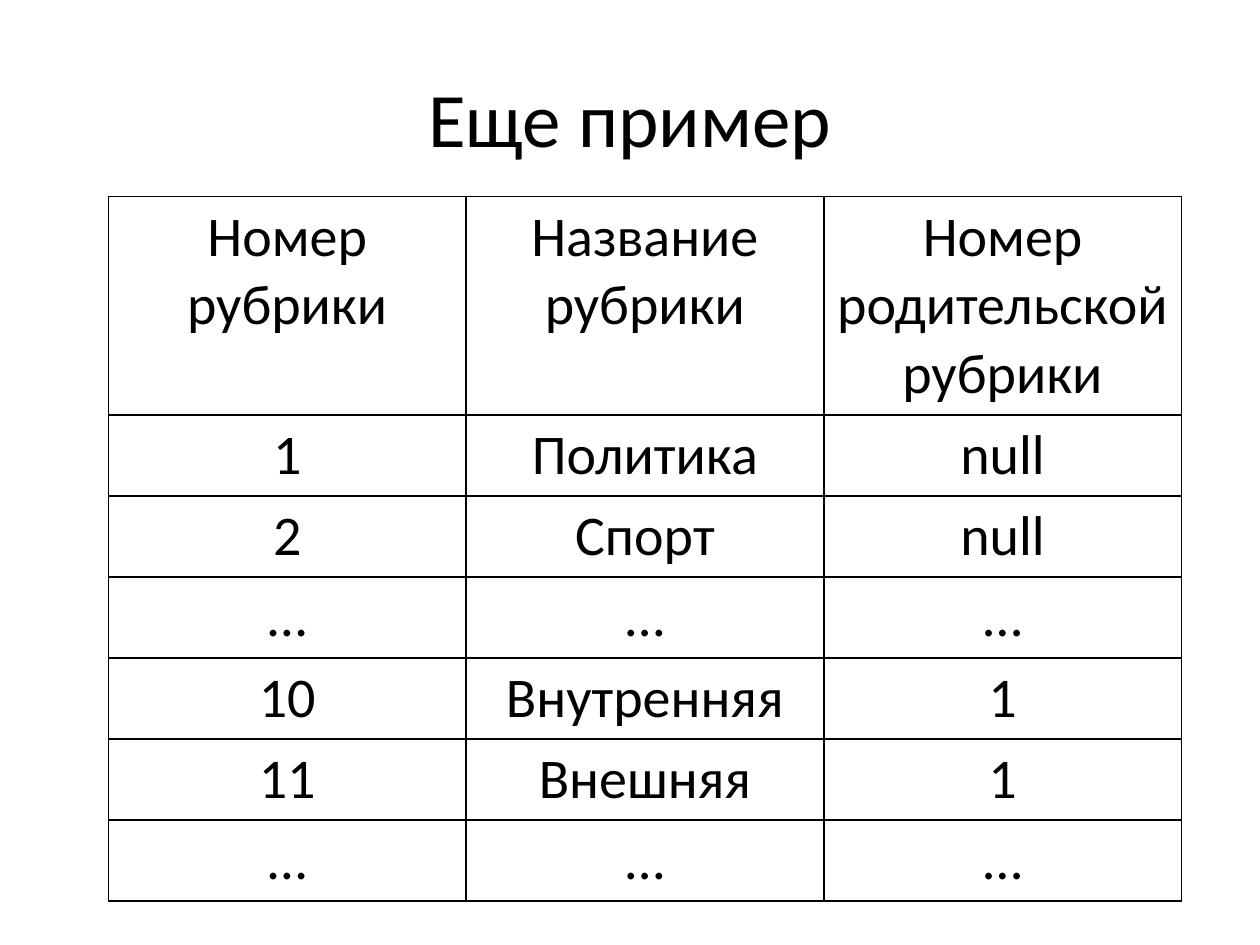
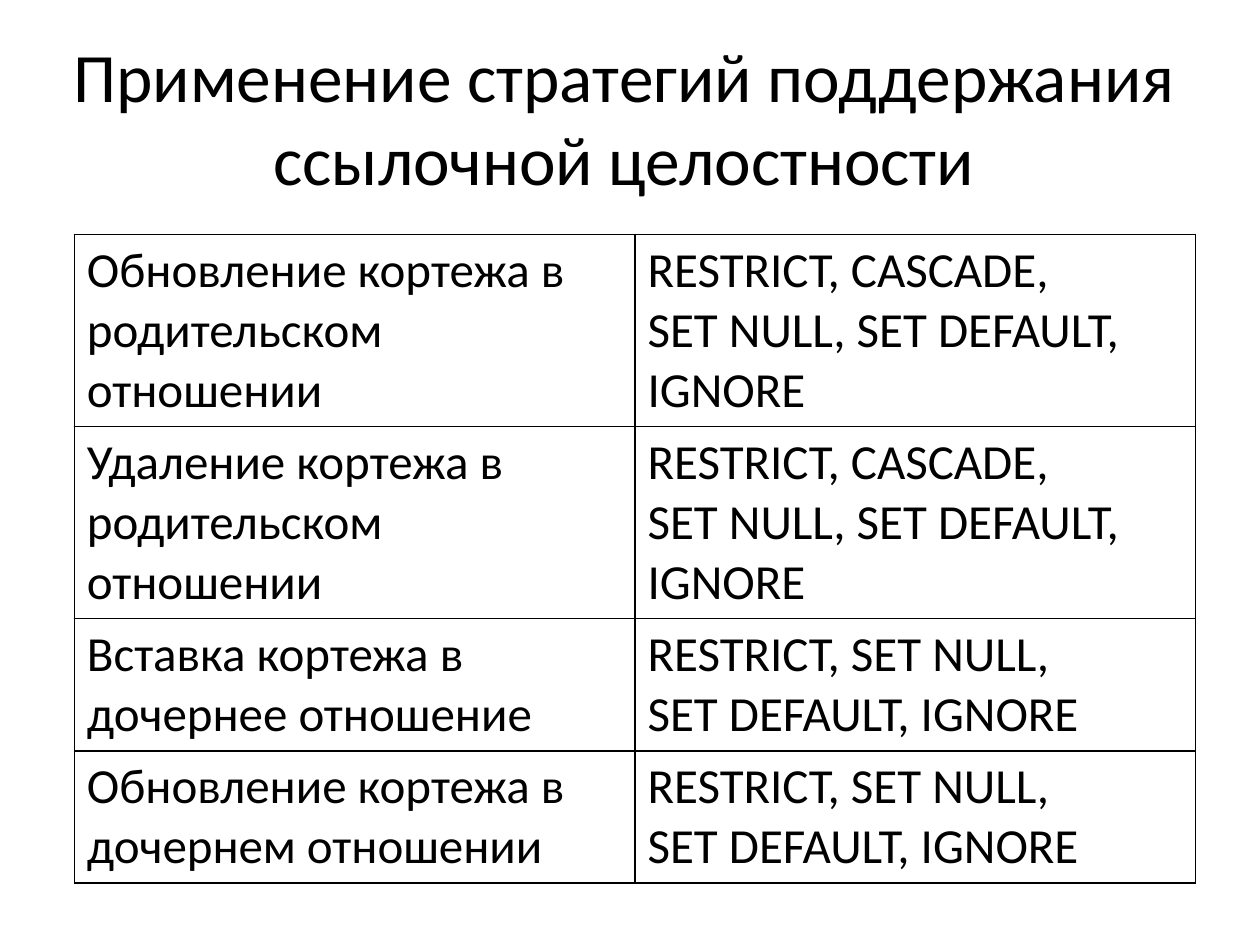
from lxml import etree
from pptx import Presentation
from pptx.dml.color import RGBColor
from pptx.enum import text
from pptx.oxml import ns
from pptx.util import Pt

# Shared look
FONT = "Calibri"
INK = RGBColor(0x00, 0x00, 0x00)
PAPER = RGBColor(0xFF, 0xFF, 0xFF)
BORDER_WIDTH = Pt(1)
TITLE_TOP, TITLE_HEIGHT = 21.6, 90

# Slide content
RUBRICS = [
    ("Номер рубрики", "Название рубрики", "Номер родительской рубрики"),
    ("1", "Политика", "null"),
    ("2", "Спорт", "null"),
    ("…", "…", "…"),
    ("10", "Внутренняя", "1"),
    ("11", "Внешняя", "1"),
    ("…", "…", "…"),
]
PARENT_STRATEGIES = "RESTRICT, CASCADE,\nSET NULL, SET DEFAULT, IGNORE"
CHILD_STRATEGIES = "RESTRICT, SET NULL,\nSET DEFAULT, IGNORE"
STRATEGIES = [
    ("Обновление кортежа в родительском отношении", PARENT_STRATEGIES),
    ("Удаление кортежа в родительском отношении", PARENT_STRATEGIES),
    ("Вставка кортежа в дочернее отношение", CHILD_STRATEGIES),
    ("Обновление кортежа в дочернем отношении", CHILD_STRATEGIES),
]


def write(frame, wording, size, align):
    """Put each line of the wording into its own paragraph."""
    for index, line in enumerate(wording.split("\n")):
        paragraph = frame.paragraphs[0] if index == 0 else frame.add_paragraph()
        paragraph.alignment = align
        run = paragraph.add_run()
        run.text = line
        run.font.name = FONT
        run.font.size = Pt(size)
        run.font.color.rgb = INK


def add_titled_slide(deck, title, left, width, size):
    slide = deck.slides.add_slide(deck.slide_layouts[6])
    slide.background.fill.solid()
    slide.background.fill.fore_color.rgb = PAPER
    heading = slide.shapes.add_textbox(
        Pt(left), Pt(TITLE_TOP), Pt(width), Pt(TITLE_HEIGHT))
    frame = heading.text_frame
    frame.word_wrap = True
    frame.vertical_anchor = text.MSO_ANCHOR.MIDDLE
    write(frame, title, size, text.PP_ALIGN.CENTER)
    return slide


def outline(cell):
    """Draw a solid border on all four sides, ahead of the cell's fill."""
    properties = cell._tc.get_or_add_tcPr()
    for position, side in enumerate(("lnL", "lnR", "lnT", "lnB")):
        line = etree.Element(ns.qn(f"a:{side}"), w=str(BORDER_WIDTH))
        fill = etree.SubElement(line, ns.qn("a:solidFill"))
        etree.SubElement(fill, ns.qn("a:srgbClr"), val=str(INK))
        properties.insert(position, line)


def add_grid(slide, rows, left, top, column_width, row_heights, size, align):
    columns = len(rows[0])
    grid = slide.shapes.add_table(
        len(rows), columns, Pt(left), Pt(top),
        Pt(column_width * columns), Pt(sum(row_heights))).table
    grid.first_row = grid.horz_banding = False
    for column in grid.columns:
        column.width = Pt(column_width)
    for row, height, wordings in zip(grid.rows, row_heights, rows):
        row.height = Pt(height)
        for cell, wording in zip(row.cells, wordings):
            cell.fill.background()
            outline(cell)
            write(cell.text_frame, wording, size, align)


def main():
    deck = Presentation()
    deck.slide_width, deck.slide_height = Pt(720), Pt(540)

    # Rubric hierarchy
    rubrics = add_titled_slide(deck, "Еще пример", 36, 648, 44)
    add_grid(rubrics, RUBRICS, 62, 112.4, 204.4, [124.8] + [46.3] * 6,
             32, text.PP_ALIGN.CENTER)

    # Referential integrity strategies
    strategies = add_titled_slide(
        deck, "Применение стратегий поддержания ссылочной целостности",
        25.2, 663, 39.6)
    add_grid(strategies, STRATEGIES, 42.5, 134, 320.4,
             [109.7] * 2 + [75.7] * 2, 28, text.PP_ALIGN.LEFT)

    deck.save("out.pptx")


if __name__ == "__main__":
    main()
